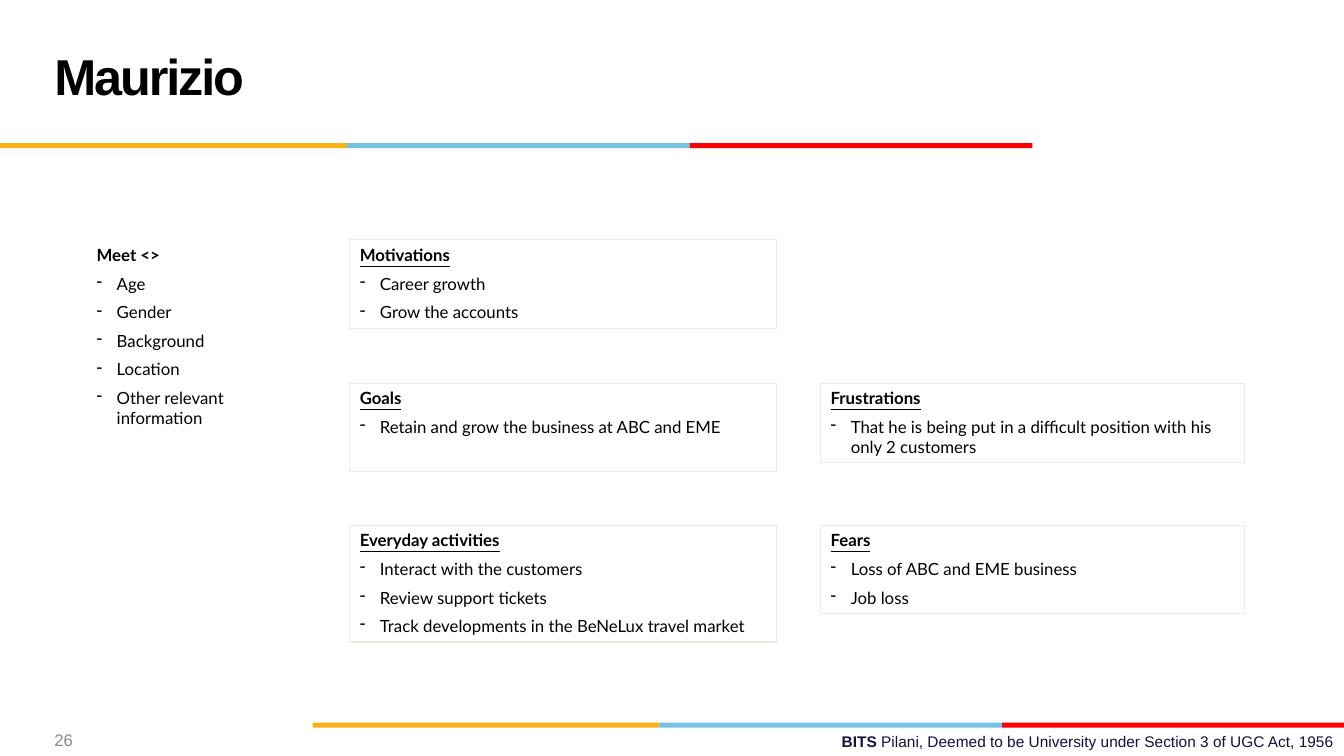
import dataclasses

import pptx
import pptx.dml.color
import pptx.enum.shapes
import pptx.enum.text
import pptx.oxml
import pptx.util
from pptx.oxml.ns import qn

PX = 9144


@dataclasses.dataclass(frozen=True)
class Theme:
    """Colours, fonts and type sizes of the deck."""
    ink: str = "000000"
    muted: str = "898989"
    navy: str = "101141"
    frame: str = "EEECE1"
    stripes: tuple = ("FCB017", "76C2E5", "FF0000")
    display: str = "Arial"
    body: str = "Lato"
    title_size: int = 36
    body_size: int = 12
    credit_size: int = 11


THEME = Theme()


def colour(code):
    """Turn a hex code into a colour."""
    return pptx.dml.color.RGBColor.from_string(code)


def add_box(page, area, anchor=pptx.enum.text.MSO_ANCHOR.TOP):
    """Add a wrapping text box over the area."""
    box = page.shapes.add_textbox(*(length * PX for length in area))
    box.text_frame.word_wrap = True
    box.text_frame.vertical_anchor = anchor
    return box


def add_rectangle(page, area):
    """Add a rectangle without shadow over the area."""
    shape = page.shapes.add_shape(
        pptx.enum.shapes.MSO_SHAPE.RECTANGLE, *(length * PX for length in area))
    shape.shadow.inherit = False
    return shape


def add_span(para, text, size, font, code, bold=False, underline=False):
    """Append a styled run to the paragraph."""
    span = para.add_run()
    span.text = text
    span.font.size = pptx.util.Pt(size)
    span.font.name = font
    span.font.bold = bold
    span.font.underline = underline
    span.font.color.rgb = colour(code)
    return span


def add_dash(para):
    """Give the paragraph a hanging dash."""
    properties = para._p.get_or_add_pPr()
    properties.set("marL", str(20 * PX))
    properties.set("indent", str(-20 * PX))
    bullet = pptx.oxml.parse_xml(
        '<a:buChar xmlns:a="http://schemas.openxmlformats.org/drawingml/2006/main" char="-"/>')
    properties.insert_element_before(bullet, "a:tabLst", "a:defRPr", "a:extLst")


def fill_list(frame, heading, items, underline):
    """Write a bold heading followed by dashed items."""
    para = frame.paragraphs[0]
    para.alignment = pptx.enum.text.PP_ALIGN.LEFT
    para.space_after = pptx.util.Pt(3)
    add_span(para, heading, THEME.body_size, THEME.body, THEME.ink, True, underline)
    for item in items:
        para = frame.add_paragraph()
        para.alignment = pptx.enum.text.PP_ALIGN.LEFT
        para.space_before = para.space_after = pptx.util.Pt(3)
        add_dash(para)
        add_span(para, item, THEME.body_size, THEME.body, THEME.ink)


def add_stripe(page, left, top):
    """Draw the three-colour stripe from its left end."""
    for code, width in zip(THEME.stripes, (344, 340, 340)):
        band = add_rectangle(page, (left, top, width, 5))
        band.fill.solid()
        band.fill.fore_color.rgb = colour(code)
        band.line.fill.background()
        left += width


def add_title(page, area, text):
    """Write the page title above its stripe."""
    left, top, width, height = area
    add_stripe(page, 0, top + height)
    box = add_box(page, area, pptx.enum.text.MSO_ANCHOR.MIDDLE)
    para = box.text_frame.paragraphs[0]
    para.line_spacing = pptx.util.Pt(THEME.title_size)
    span = add_span(para, text, THEME.title_size, THEME.display, THEME.ink, True)
    span.font._element.set("spc", "-150")


def add_footer(page, area, number):
    """Draw the bottom stripe, the credit and the page number."""
    left, top, width, height = area
    add_stripe(page, left + width - 1023, top)
    credit = add_box(page, (left + 478, top + 4, width - 478, 29))
    para = credit.text_frame.paragraphs[0]
    para.alignment = pptx.enum.text.PP_ALIGN.RIGHT
    add_span(para, "BITS ", THEME.credit_size, THEME.display, THEME.navy, True)
    add_span(para, "Pilani, Deemed to be University under Section 3 of UGC Act, 1956",
             THEME.credit_size, THEME.display, THEME.navy)
    box = add_box(page, (left + 44, top, 97, height), pptx.enum.text.MSO_ANCHOR.MIDDLE)
    add_span(box.text_frame.paragraphs[0], number,
             THEME.body_size, THEME.display, THEME.muted)


def add_card(page, area, heading, items):
    """Draw a framed card with a heading and items."""
    card = add_rectangle(page, area)
    card.fill.background()
    card.line.color.rgb = colour(THEME.frame)
    card.line.width = pptx.util.Pt(0.75)
    card.text_frame.word_wrap = True
    card.text_frame.vertical_anchor = pptx.enum.text.MSO_ANCHOR.TOP
    fill_list(card.text_frame, heading, items, True)


def add_persona(page, area):
    """Place the profile list and the grid of cards."""
    left, top, width, height = area
    profile = add_box(page, (left, top, 214, 194))
    fill_list(profile.text_frame, "Meet <>",
              ["Age", "Gender", "Background", "Location", "Other relevant information"], False)
    columns = ((left + 261, 423), (left + 728, 420))
    row_pitch = (height - 116) / 2
    cards = (
        (0, 0, 88, "Motivations", ["Career growth", "Grow the accounts"]),
        (0, 1, 88, "Goals", ["Retain and grow the business at ABC and EME"]),
        (0, 2, 116, "Everyday activities",
         ["Interact with the customers", "Review support tickets",
          "Track developments in the BeNeLux travel market"]),
        (1, 1, 79, "Frustrations",
         ["That he is being put in a difficult position with his only 2 customers"]),
        (1, 2, 88, "Fears", ["Loss of ABC and EME business", "Job loss"]),
    )
    for column, row, card_height, heading, items in cards:
        card_left, card_width = columns[column]
        card_top = round(top + row * row_pitch)
        add_card(page, (card_left, card_top, card_width, card_height), heading, items)


def main():
    """Build and save the deck."""
    deck = pptx.Presentation()
    deck.slide_width, deck.slide_height = 1333 * PX, 750 * PX
    page = deck.slides.add_slide(deck.slide_layouts[6])
    add_title(page, (44, 17, 922, 125), "Maurizio")
    add_persona(page, (86, 238, 1148, 399))
    add_footer(page, (0, 717, 1333, 33), "26")
    deck.save("out.pptx")


if __name__ == "__main__":
    main()
